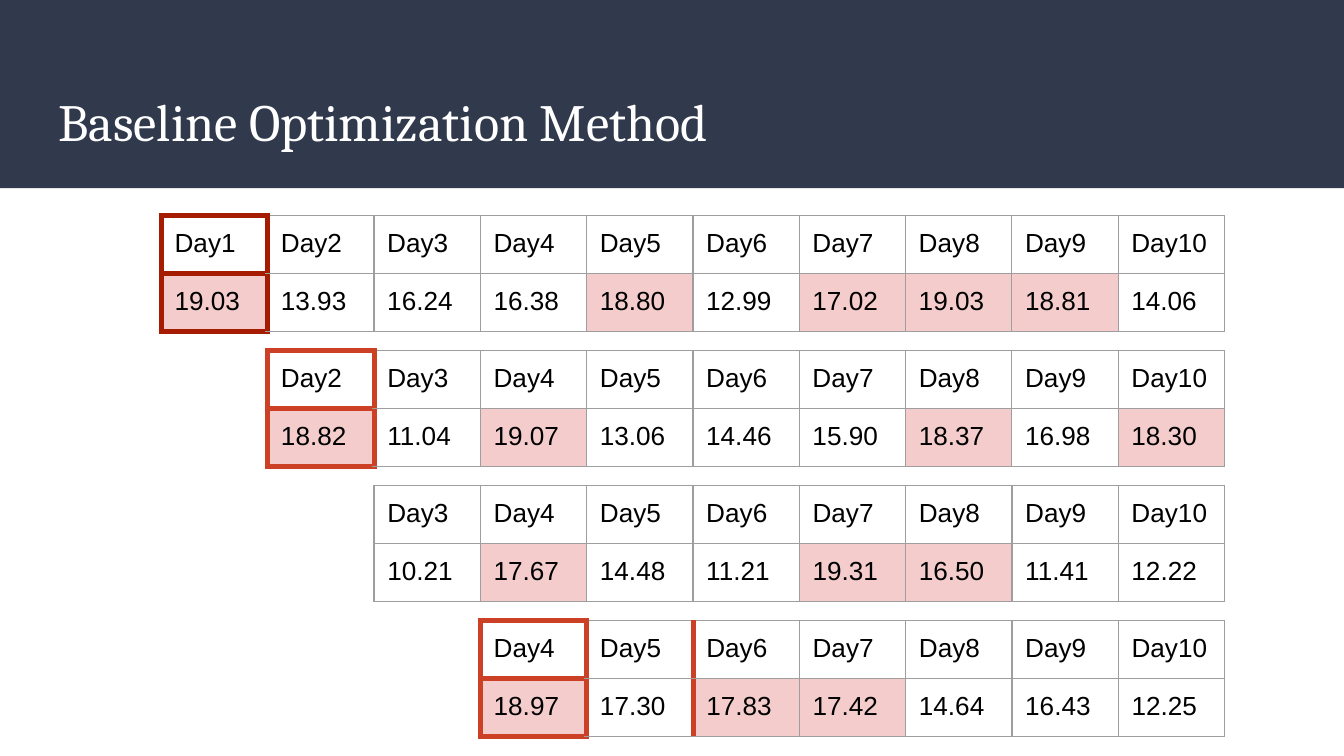
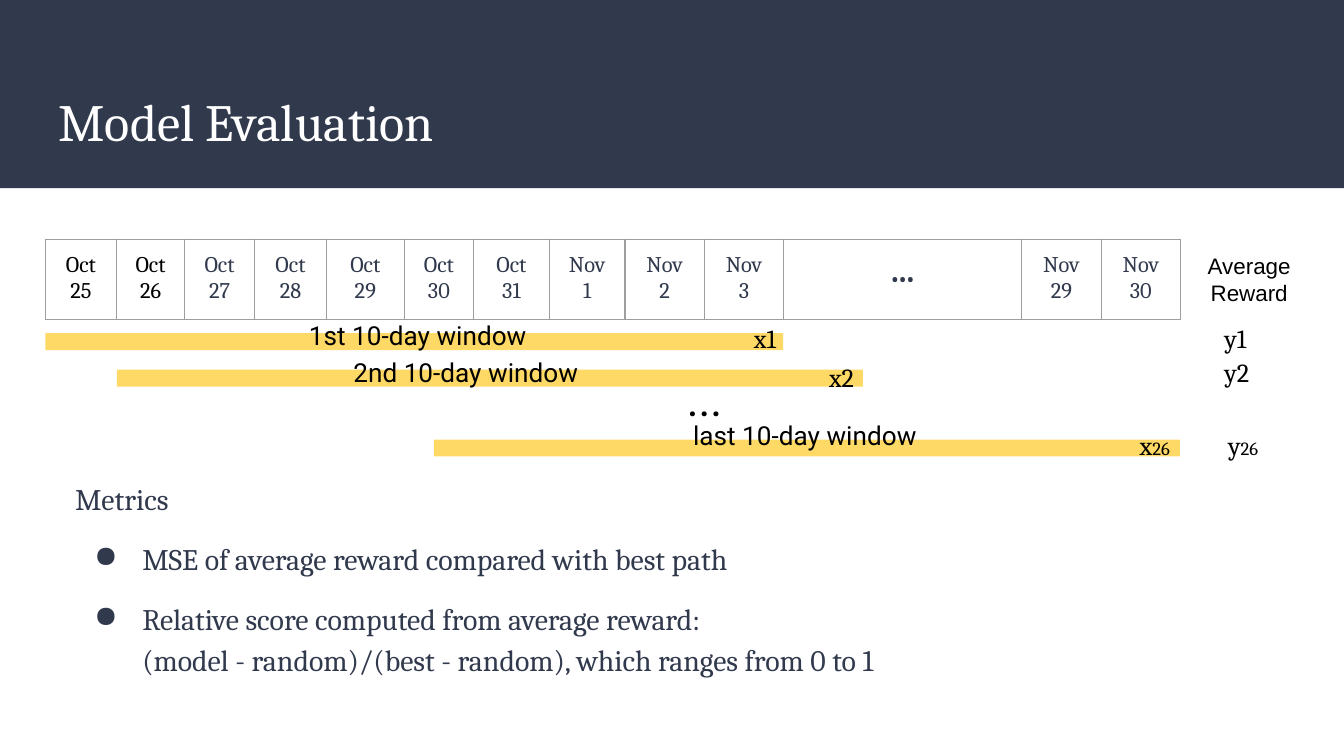
from dataclasses import dataclass

from lxml import etree
from pptx import Presentation
from pptx.dml.color import RGBColor
from pptx.enum.shapes import MSO_SHAPE
from pptx.enum.text import MSO_ANCHOR, PP_ALIGN
from pptx.oxml.ns import qn
from pptx.util import Cm, Pt

RECT = MSO_SHAPE.RECTANGLE
LOW = MSO_ANCHOR.BOTTOM
LEFT, MID = PP_ALIGN.LEFT, PP_ALIGN.CENTER


@dataclass(frozen=True)
class Theme:
    navy: str = "31394D"
    white: str = "FFFFFF"
    black: str = "000000"
    grid: str = "9E9E9E"
    pink: str = "F4CCCC"
    gold: str = "FFD966"
    dark: str = "A61C00"
    red: str = "CC4125"
    serif: str = "Cambria"
    sans: str = "Arial"
    round: str = "Roboto"
    title: int = 28
    dots: int = 24
    gap: int = 18
    body: int = 16
    text: int = 14
    date: int = 12
    sub: int = 10


T = Theme()


def put(hold, lines, size, face, hue, align=LEFT):
    frame = getattr(hold, "text_frame", hold)
    hold.margin_left = hold.margin_right = Cm(0.25)
    hold.margin_top = hold.margin_bottom = Cm(0.25)
    frame.word_wrap = True
    for i, line in enumerate(lines):
        para = frame.add_paragraph() if i else frame.paragraphs[0]
        para.alignment = align
        para.font.size = Pt(size)
        para.font.name = face
        para.font.color.rgb = RGBColor.from_string(hue)
        para.add_run().text = line
    return frame


def edge(cell, sides):
    props = cell._tc.get_or_add_tcPr()
    for side, (hue, width) in sides.items():
        line = etree.SubElement(props, qn("a:ln" + side), w=str(Pt(width)))
        fill = etree.SubElement(line, qn("a:solidFill"))
        etree.SubElement(fill, qn("a:srgbClr"), val=hue)


deck = Presentation()
deck.slide_width, deck.slide_height = Cm(25.4), Cm(14.29)
pages = []
for name in ("Baseline Optimization Method", "Model Evaluation"):
    page = deck.slides.add_slide(deck.slide_layouts[6])
    band = page.shapes.add_shape(RECT, 0, 0, deck.slide_width, Cm(3.56))
    band.shadow.inherit = False
    band.fill.solid()
    band.fill.fore_color.rgb = RGBColor.from_string(T.navy)
    band.line.fill.background()
    head = page.shapes.add_textbox(Cm(0.86), Cm(1.4), Cm(23.67), Cm(1.73))
    put(head.text_frame, [name], T.title, T.serif, T.white).vertical_anchor = LOW
    pages.append(page)
base, model = pages

thin = (T.grid, 0.75)
wide, high = 2.01, 1.06
runs = [
    ("19.03 13.93 16.24 16.38 18.80 12.99 17.02 19.03 18.81 14.06", {1, 5, 7, 8, 9}, T.dark, 2),
    ("18.82 11.04 19.07 13.06 14.46 15.90 18.37 16.98 18.30", {2, 4, 8, 10}, T.red, 2),
    ("10.21 17.67 14.48 11.21 19.31 16.50 11.41 12.22", {4, 7, 8}, T.red, 0),
    ("18.97 17.30 17.83 17.42 14.64 16.43 12.25", {4, 6, 7}, T.red, 3),
]
for step, (data, hot, hue, walls) in enumerate(runs):
    vals = data.split()
    grid = base.shapes.add_table(
        2, len(vals), Cm(3.05 + step * wide), Cm(4.08 + step * 2.55),
        Cm(wide * len(vals)), Cm(2 * high)).table
    grid.first_row = grid.horz_banding = False
    for row in grid.rows:
        row.height = Cm(high)
    for col, val in enumerate(vals):
        grid.columns[col].width = Cm(wide)
        day = step + col + 1
        thick = (hue, 3)
        flat = thick if col == 0 < walls else thin
        sides = {"L": thick if col < walls else thin,
                 "R": thick if col + 1 < walls else thin,
                 "T": flat, "B": flat}
        for row, word in enumerate((f"Day{day}", val)):
            cell = grid.cell(row, col)
            put(cell, [word], T.text, T.sans, T.black)
            edge(cell, sides)
            if row and day in hot:
                cell.fill.solid()
                cell.fill.fore_color.rgb = RGBColor.from_string(T.pink)
            else:
                cell.fill.background()

days = [["Oct", str(day)] for day in range(25, 32)]
days += [["Nov", str(day)] for day in range(1, 4)]
days += [["..."], [], [], ["Nov 29"], ["Nov 30"]]
widths = [1.34, 1.29, 1.32, 1.36, 1.47, 1.31, 1.43, 1.43] + [1.5] * 7
grid = model.shapes.add_table(
    1, len(days), Cm(0.86), Cm(4.52), Cm(sum(widths)), Cm(1.37)).table
grid.first_row = grid.horz_banding = False
grid.rows[0].height = Cm(1.37)
grid.cell(0, 10).merge(grid.cell(0, 12))
for col, (lines, width) in enumerate(zip(days, widths)):
    grid.columns[col].width = Cm(width)
    cell = grid.cell(0, col)
    gap = lines == ["..."]
    frame = put(cell, lines, T.gap if gap else T.date, T.serif,
                T.black if col < 2 else T.navy, MID)
    if gap:
        frame.paragraphs[0].font.bold = True
    edge(cell, dict.fromkeys("LRTB", thin))
    cell.fill.background()

for left, top, width in ((0.86, 6.3, 13.94), (2.21, 6.99, 14.1), (8.2, 8.31, 14.1)):
    bar = model.shapes.add_shape(RECT, Cm(left), Cm(top), Cm(width), Cm(0.32))
    bar.shadow.inherit = False
    bar.fill.solid()
    bar.fill.fore_color.rgb = RGBColor.from_string(T.gold)
    bar.line.fill.background()

notes = [
    ("1st 10-day window", 5.59, 5.79, T.text),
    ("2nd 10-day window", 6.43, 6.48, T.text),
    ("...", 12.73, 6.78, T.dots),
    ("last 10-day window", 12.85, 7.67, T.text),
]
for word, left, top, size in notes:
    box = model.shapes.add_textbox(Cm(left), Cm(top), Cm(5.11), Cm(1.32))
    put(box.text_frame, [word], size, T.round, T.black)

marks = [
    ("x1", "", 14, 5.84), ("x2", "", 15.42, 6.58), ("x", "26", 21.29, 7.87),
    ("y1", "", 22.89, 5.84), ("y2", "", 22.89, 6.48), ("y", "26", 22.96, 7.87),
]
for word, sub, left, top in marks:
    box = model.shapes.add_textbox(Cm(left), Cm(top), Cm(1.78), Cm(1.19))
    frame = put(box.text_frame, [word], T.text, T.serif, T.black)
    if sub:
        run = frame.paragraphs[0].add_run()
        run.text = sub
        run.font.size = Pt(T.sub)

box = model.shapes.add_textbox(Cm(21.82), Cm(4.52), Cm(3.58), Cm(2.54))
put(box.text_frame, ["Average", "Reward"], T.date, T.sans, T.black, MID)

box = model.shapes.add_textbox(Cm(1.17), Cm(8.74), Cm(22.12), Cm(3.51))
points = [
    ("Metrics", 0, False),
    ("MSE of average reward compared with best path", 1.27, True),
    ("Relative score computed from average reward:", 1.27, True),
    ("(model - random)/(best - random), which ranges from 0 to 1", 1.27, False),
]
frame = put(box.text_frame, [word for word, _, _ in points], T.body, T.serif, T.navy)
for para, (_, inset, dot) in zip(frame.paragraphs, points):
    para.line_spacing = 1.15
    props = para._p.get_or_add_pPr()
    props.set("marL", str(Cm(inset)))
    props.set("indent", str(Cm(-0.91 if dot else 0)))
    if dot:
        para.space_before = Pt(10)
        tint = etree.Element(qn("a:buClr"))
        etree.SubElement(tint, qn("a:srgbClr"), val=T.navy)
        last = props.find(qn("a:defRPr"))
        last.addprevious(tint)
        last.addprevious(etree.Element(qn("a:buChar"), char="●"))

deck.save("out.pptx")
